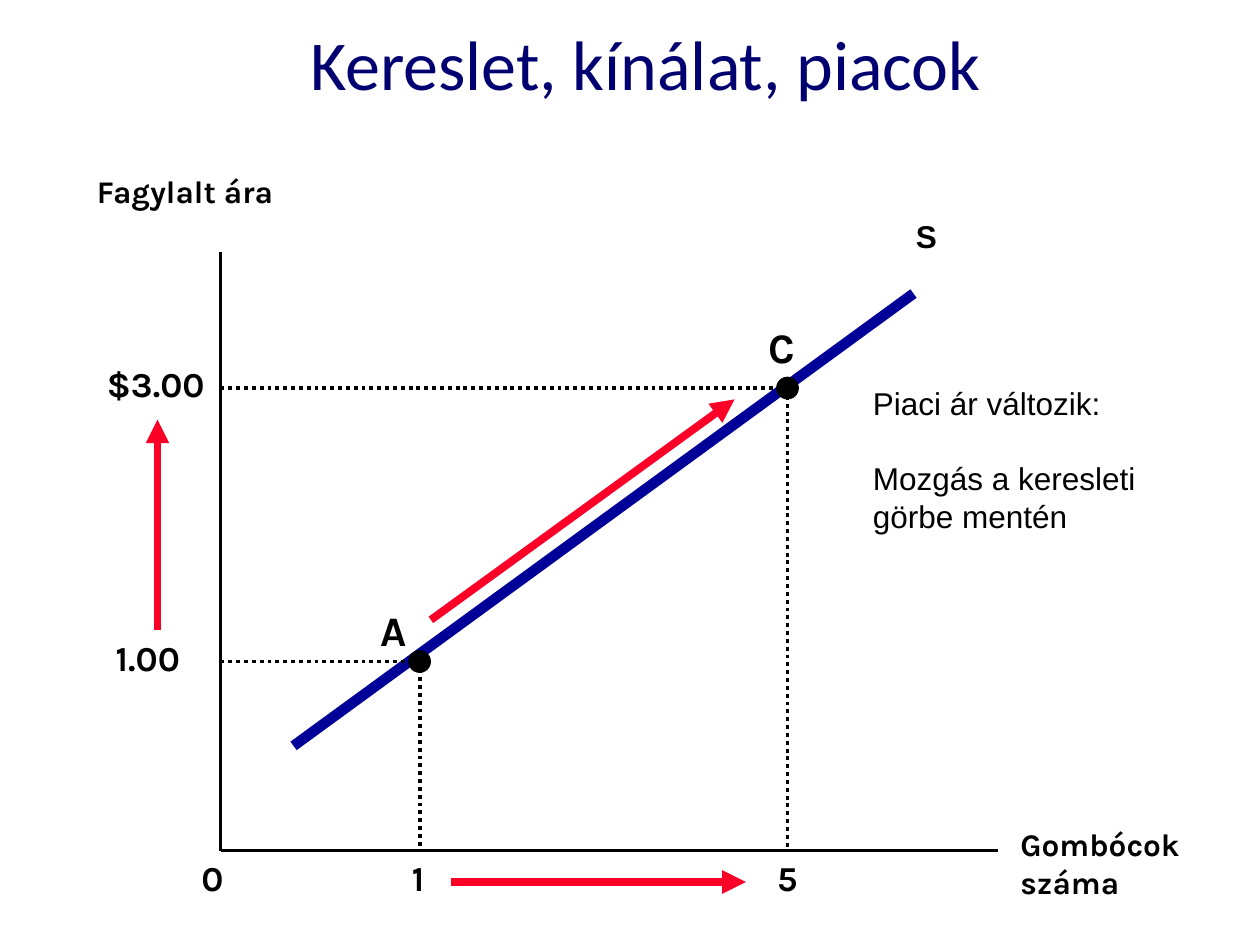
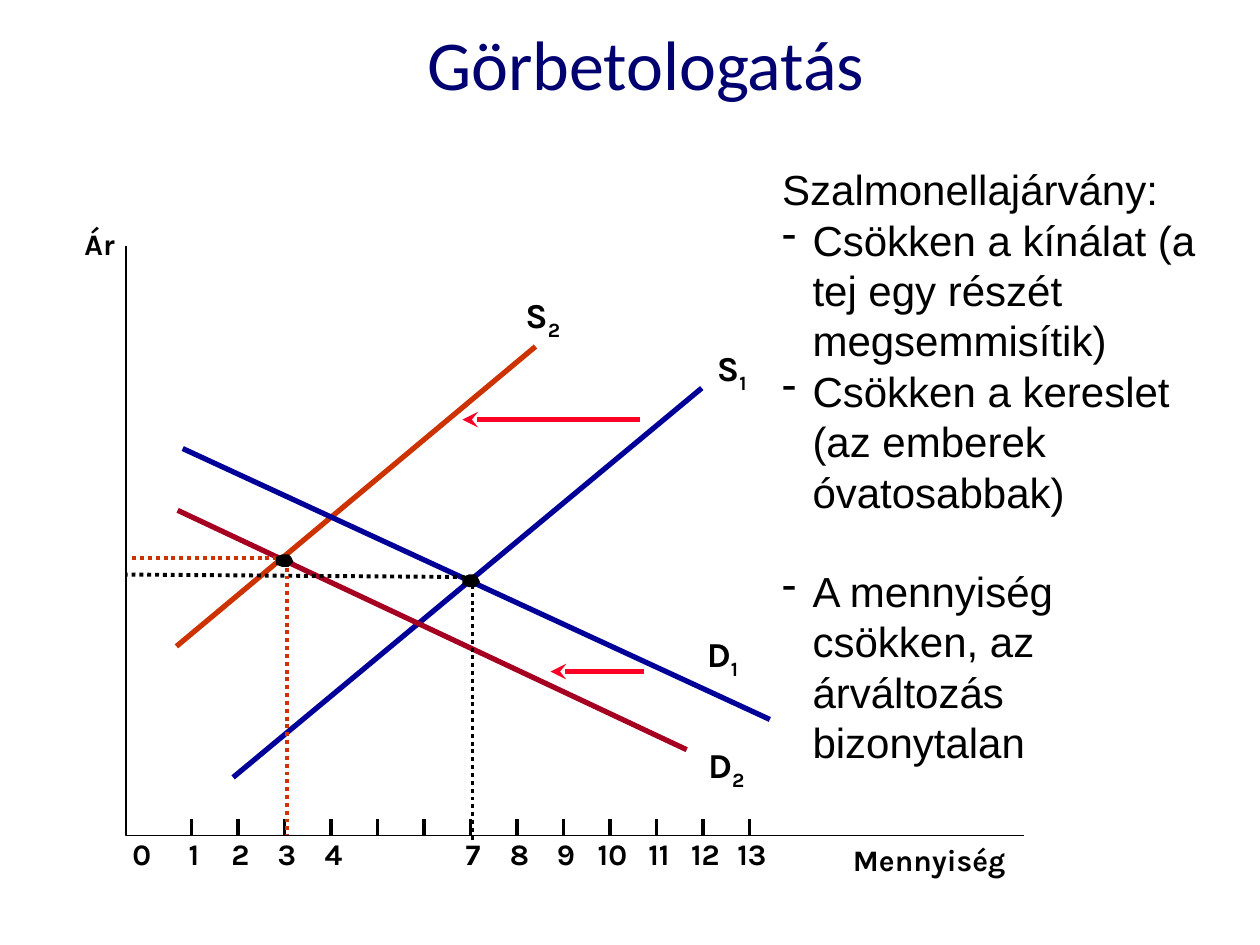
"""Two economics slides: movement along a supply curve and shifting curves."""
import lxml.etree
import pptx
import pptx.dml.color
import pptx.enum.dml
import pptx.enum.shapes
import pptx.enum.text
import pptx.oxml.ns
import pptx.util

hex_color = pptx.dml.color.RGBColor.from_string
qn = pptx.oxml.ns.qn
DOTTED = pptx.enum.dml.MSO_LINE.ROUND_DOT
CENTER = pptx.enum.text.PP_ALIGN.CENTER
BLACK, BLUE, RED, ORANGE, CRIMSON, NAVY = "000000", "000099", "FC0128", "CC3300", "A50021", "000070"

deck = pptx.Presentation()
deck.slide_width = pptx.util.Inches(10)
deck.slide_height = pptx.util.Inches(7.5)
CELL = deck.slide_width // 100


def add_line(slide, start, end, color, width, dash=None, head=None):
    """Draw a straight line between two (column, row) points."""
    ends = [round(value * CELL) for value in (*start, *end)]
    line = slide.shapes.add_connector(pptx.enum.shapes.MSO_CONNECTOR.STRAIGHT, *ends)
    line.line.color.rgb = hex_color(color)
    line.line.width = pptx.util.Pt(width)
    if dash:
        line.line.dash_style = dash
    if head:
        lxml.etree.SubElement(line.line._get_or_add_ln(), qn("a:tailEnd"), type=head)
    lxml.etree.SubElement(line._element.spPr, qn("a:effectLst"))


def add_text(slide, box, lines, size, font="Karla", bold=True, inset=True, align=None):
    """Put paragraphs in a (left, top, width, height) box of grid cells."""
    frame = slide.shapes.add_textbox(*[round(value * CELL) for value in box]).text_frame
    frame.word_wrap = True
    if not inset:
        frame.margin_left = frame.margin_right = frame.margin_top = frame.margin_bottom = 0
    frame.text = "\n".join(lines)
    for paragraph in frame.paragraphs:
        paragraph.alignment = align
        for run in paragraph.runs:
            run.font.size = pptx.util.Pt(size)
            run.font.name = font
            run.font.bold = bold
            run.font.color.rgb = hex_color(BLACK)
    return frame


slides = []
for heading in ("Kereslet, kínálat, piacok", "Görbetologatás"):
    slide = deck.slides.add_slide(deck.slide_layouts[5])
    title = slide.shapes.title
    title.left, title.top, title.width, title.height = [round(v * CELL) for v in (2.5, 0.8, 97.5, 8.3)]
    title.text_frame.text = heading
    title.text_frame.vertical_anchor = pptx.enum.text.MSO_ANCHOR.MIDDLE
    title.text_frame.paragraphs[0].alignment = CENTER
    title_font = title.text_frame.paragraphs[0].runs[0].font
    title_font.size = pptx.util.Pt(40)
    title_font.name = "Calibri"
    title_font.color.rgb = hex_color(NAVY)
    slides.append(slide)
movement, shifts = slides

origin_x, origin_y = 17.5, 67.5
add_line(movement, (origin_x, 20), (origin_x, origin_y), BLACK, 2.25)
add_line(movement, (origin_x, origin_y), (79.2, origin_y), BLACK, 2.25)
add_line(movement, (23.3, 59.2), (72.5, 23.3), BLUE, 6)

for x, y in ((33.3, 52.5), (62.5, 30.8)):
    add_line(movement, (origin_x, y), (x, y), BLACK, 2.25, DOTTED)
    add_line(movement, (x, y), (x, origin_y), BLACK, 2.25, DOTTED)
    point = movement.shapes.add_shape(
        pptx.enum.shapes.MSO_SHAPE.OVAL,
        *[round(value * CELL) for value in (x - 0.83, y - 0.83, 1.67, 1.67)])
    point.shadow.inherit = False
    point.fill.solid()
    point.fill.fore_color.rgb = hex_color(BLACK)
    point.line.color.rgb = hex_color(BLACK)
    point.line.width = pptx.util.Pt(1)

for start, end in (((12.5, 50), (12.5, 33.3)), ((35.8, 70), (59.2, 70)), ((34.2, 49.2), (58.3, 31.7))):
    add_line(movement, start, end, RED, 4.5, head="triangle")

for words, left, top, width, size in (
    ("Fagylalt ára", 6.7, 13.2, 16.7, 18),
    ("Gombócok száma", 80, 65, 16.7, 18),
    ("0", 15, 67.5, 5, 20),
    ("1", 31.7, 67.5, 5, 20),
    ("5", 60.7, 67.5, 5, 20),
    ("$3.00", 7.5, 28.3, 10, 20),
    ("1.00", 8.2, 50, 10, 20),
    ("A", 29.2, 47.5, 4.2, 24),
    ("C", 60, 25, 4.2, 24),
):
    add_text(movement, (left, top, width, 4.4), [words], size)
add_text(movement, (71.7, 16.7, 6.7, 4), ["S"], 18, "Arial")

price_note = add_text(movement, (68.3, 30, 26.6, 13),
                      ["Piaci ár változik:", "Mozgás a keresleti görbe mentén"], 18, "Arial", False)
price_note.paragraphs[1].space_before = pptx.util.Pt(21)

axis_y = 66.3
for start, end, color in (
    ((42.5, 27.5), (14, 51.3), ORANGE),
    ((55.7, 30.8), (18.5, 61.7), BLUE),
    ((14.5, 35.6), (61.1, 57.1), BLUE),
    ((14.1, 40.5), (54.5, 59.5), CRIMSON),
):
    add_line(shifts, start, end, color, 3)

for quantity in range(1, 14):
    tick_x = 15.2 + 3.69 * (quantity - 1)
    add_line(shifts, (tick_x, 65), (tick_x, axis_y), BLACK, 2)
    if quantity not in (5, 6):
        add_text(shifts, (tick_x - 1.8, axis_y, 4, 2.8), [str(quantity)], 17, inset=False, align=CENTER)

for words, left, top, width in (("0", 10.5, 66.3, 3), ("Ár", 6.7, 17.9, 4), ("Mennyiség", 67.7, 66.8, 16)):
    add_text(shifts, (left, top, width, 2.8), [words], 17, inset=False)

for letter, index, left, top in (("S", "2", 41.7, 23.3), ("S", "1", 56.9, 27.5),
                                 ("D", "1", 56.1, 50.2), ("D", "2", 56.2, 59)):
    curve_name = add_text(shifts, (left, top, 5, 3.8), [letter], 20, inset=False).paragraphs[0]
    subscript = curve_name.add_run()
    subscript.text = index
    subscript.font.size = pptx.util.Pt(20)
    subscript.font.name = "Karla"
    subscript.font.bold = True
    subscript.font.color.rgb = hex_color(BLACK)
    subscript._r.get_or_add_rPr().set("baseline", "-25000")

for start, end in (((50.8, 33.3), (36.7, 33.3)), ((51.1, 53.3), (43.7, 53.3))):
    add_line(shifts, start, end, RED, 3, head="stealth")
add_line(shifts, (37.5, 45.8), (37.5, 66.7), BLACK, 2.25, DOTTED)
add_line(shifts, (37.5, 45.8), (10, 45.6), BLACK, 2.25, DOTTED)

dot_outline = ((0.7, 1), (1, 1), (1.2, 0.8), (1.4, 0.6), (1.2, 0.2), (1, 0),
               (0.5, 0), (0, 0.2), (0, 0.8), (0.5, 1))
for corners, width, color, dash in (
    (((10, 19.5), (10, axis_y), (81.3, axis_y)), 1, BLACK, None),
    (((10.5, 44.3), (22.8, 44.3), (22.8, axis_y)), 2.25, ORANGE, DOTTED),
    ([(36.7 + x, 45.6 + y) for x, y in dot_outline], 0, BLACK, None),
    ([(21.9 + x, 44 + y) for x, y in dot_outline], 0, BLACK, None),
):
    vertices = [(round(x * CELL), round(y * CELL)) for x, y in corners]
    builder = shifts.shapes.build_freeform(*vertices[0])
    builder.add_line_segments(vertices[1:], close=not width)
    outline = builder.convert_to_shape()
    outline.shadow.inherit = False
    if width:
        outline.fill.background()
        outline.line.color.rgb = hex_color(color)
        outline.line.width = pptx.util.Pt(width)
        outline.line.dash_style = dash
    else:
        outline.fill.solid()
        outline.fill.fore_color.rgb = hex_color(color)
        outline.line.fill.background()

epidemic = add_text(shifts, (61.1, 12.5, 35.5, 45), [
    "Szalmonellajárvány:",
    "Csökken a kínálat (a tej egy részét megsemmisítik)",
    "Csökken a kereslet (az emberek óvatosabbak)",
    "A mennyiség csökken, az árváltozás bizonytalan",
], 24, "Arial", False)
for effect in epidemic.paragraphs[1:]:
    properties = effect._p.get_or_add_pPr()
    properties.set("marL", str(round(2.4 * CELL)))
    properties.set("indent", str(round(-2.4 * CELL)))
    lxml.etree.SubElement(properties, qn("a:buChar"), char="-")
epidemic.paragraphs[3].space_before = pptx.util.Pt(28)

deck.save("out.pptx")
